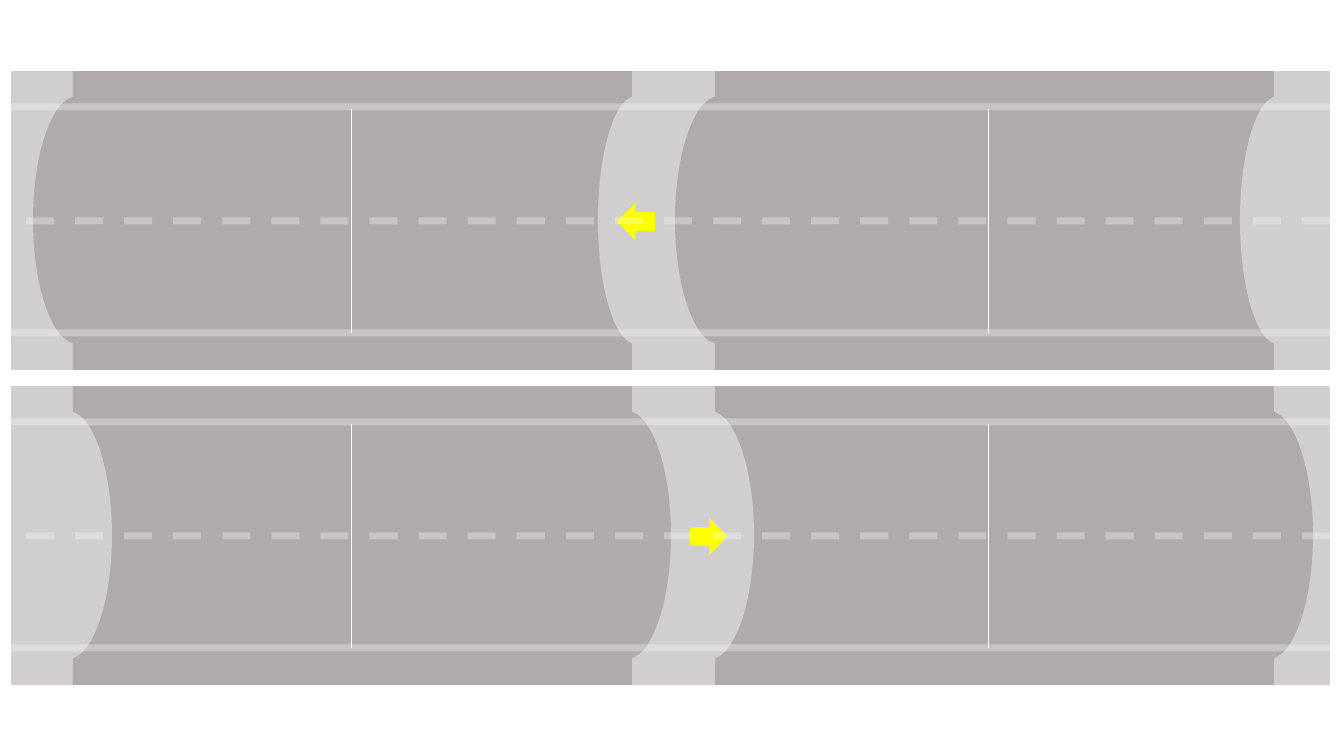
from dataclasses import dataclass
from pptx import Presentation
from pptx.dml.color import RGBColor
from pptx.enum.dml import MSO_LINE as Dash
from pptx.enum.shapes import MSO_CONNECTOR, MSO_SHAPE as Preset
from pptx.oxml.ns import qn
from pptx.oxml.xmlchemy import OxmlElement as element
from pptx.util import Emu, Inches, Pt

PX = Inches(1) / 67.2
CURVE = 0.55


@dataclass(frozen=True)
class Theme:
    light: str = "D0CECE"
    dark: str = "AFABAB"
    marking: str = "FFFFFF"
    arrow: str = "FFFF00"
    marking_width: float = 7.5
    divider_width: float = 0.5
    marking_opacity: int = 30


def emu(pixels):
    return Emu(round(pixels * PX))


class Painter:
    def __init__(self, slide, theme):
        self.shapes = slide.shapes
        self.theme = theme

    def fill(self, shape, color):
        shape.shadow.inherit = False
        shape.fill.solid()
        shape.fill.fore_color.rgb = RGBColor.from_string(color)
        shape.line.fill.background()

    def block(self, preset, left, top, width, height, color):
        box = map(emu, (left, top, width, height))
        self.fill(self.shapes.add_shape(preset, *box), color)

    def dome(self, base, top, depth, height, color):
        middle = height // 2
        builder = self.shapes.build_freeform(base, top, scale=PX)
        builder.add_line_segments([(base + depth, top + middle), (base, top + height)])
        dome = builder.convert_to_shape()
        self.fill(dome, color)
        base_x = max(0, -depth)
        tip_x = base_x + depth
        bend_x = base_x + round(CURVE * depth)
        bend_y = round(CURVE * middle)
        arcs = [
            [(bend_x, 0), (tip_x, middle - bend_y), (tip_x, middle)],
            [(tip_x, middle + bend_y), (bend_x, height), (base_x, height)],
        ]
        sides = list(dome._element.iter(qn("a:lnTo")))
        for side, arc in zip(sides, arcs):
            bezier = element("a:cubicBezTo")
            for x, y in arc:
                point = element("a:pt")
                point.set("x", str(x))
                point.set("y", str(y))
                bezier.append(point)
            side.getparent().replace(side, bezier)

    def line(self, x1, y1, x2, y2, width, dash=Dash.SOLID, opacity=100):
        ends = map(emu, (x1, y1, x2, y2))
        line = self.shapes.add_connector(MSO_CONNECTOR.STRAIGHT, *ends)
        line.line.width = Pt(width)
        line.line.color.rgb = RGBColor.from_string(self.theme.marking)
        line.line.dash_style = dash
        if opacity < 100:
            alpha = element("a:alpha")
            alpha.set("val", str(opacity * 1000))
            next(line._element.iter(qn("a:srgbClr"))).append(alpha)
        line._element.spPr.append(element("a:effectLst"))


ROAD_LEFT, ROAD_RIGHT, ROAD_HEIGHT = 11, 1330, 299
PANEL_LEFTS, PANEL_WIDTH = (73, 715), 559
DOME_OFFSET, DOME_HEIGHT = 25, 248
CENTER, EDGES = 150, (36, 262)
DIVIDERS = (351, 988)
LEFTWARD_TOP, RIGHTWARD_TOP = 71, 386


def leftward_panels(painter, road_top):
    theme = painter.theme
    dome_top = road_top + DOME_OFFSET
    for left in PANEL_LEFTS:
        painter.dome(left + 4, dome_top, -44, DOME_HEIGHT, theme.dark)
        painter.block(Preset.RECTANGLE, left, road_top, PANEL_WIDTH, ROAD_HEIGHT, theme.dark)
        painter.dome(left + PANEL_WIDTH + 4, dome_top, -38, DOME_HEIGHT, theme.light)


def rightward_panels(painter, road_top):
    theme = painter.theme
    dome_top = road_top + DOME_OFFSET
    for left in PANEL_LEFTS:
        painter.block(Preset.RECTANGLE, left, road_top, PANEL_WIDTH, ROAD_HEIGHT, theme.dark)
        painter.dome(left - 5, dome_top, 44, DOME_HEIGHT, theme.light)
        painter.dome(left + PANEL_WIDTH - 5, dome_top, 44, DOME_HEIGHT, theme.dark)


def road(painter, top, panels, arrow, arrow_left):
    theme = painter.theme
    painter.block(Preset.RECTANGLE, ROAD_LEFT, top, ROAD_RIGHT - ROAD_LEFT, ROAD_HEIGHT, theme.light)
    panels(painter, top)
    painter.block(arrow, arrow_left, top + 132, 38, 37, theme.arrow)
    markings = [(CENTER, Dash.DASH)] + [(edge, Dash.SOLID) for edge in EDGES]
    for offset, dash in markings:
        y = top + offset
        painter.line(ROAD_RIGHT, y, ROAD_LEFT, y, theme.marking_width, dash, theme.marking_opacity)
    for x in DIVIDERS:
        painter.line(x, top + 38, x, top + EDGES[1], theme.divider_width)


deck = Presentation()
deck.slide_width, deck.slide_height = Inches(20), Inches(11.25)
painter = Painter(deck.slides.add_slide(deck.slide_layouts[6]), Theme())
road(painter, LEFTWARD_TOP, leftward_panels, Preset.LEFT_ARROW, 617)
road(painter, RIGHTWARD_TOP, rightward_panels, Preset.RIGHT_ARROW, 690)
deck.save("out.pptx")
